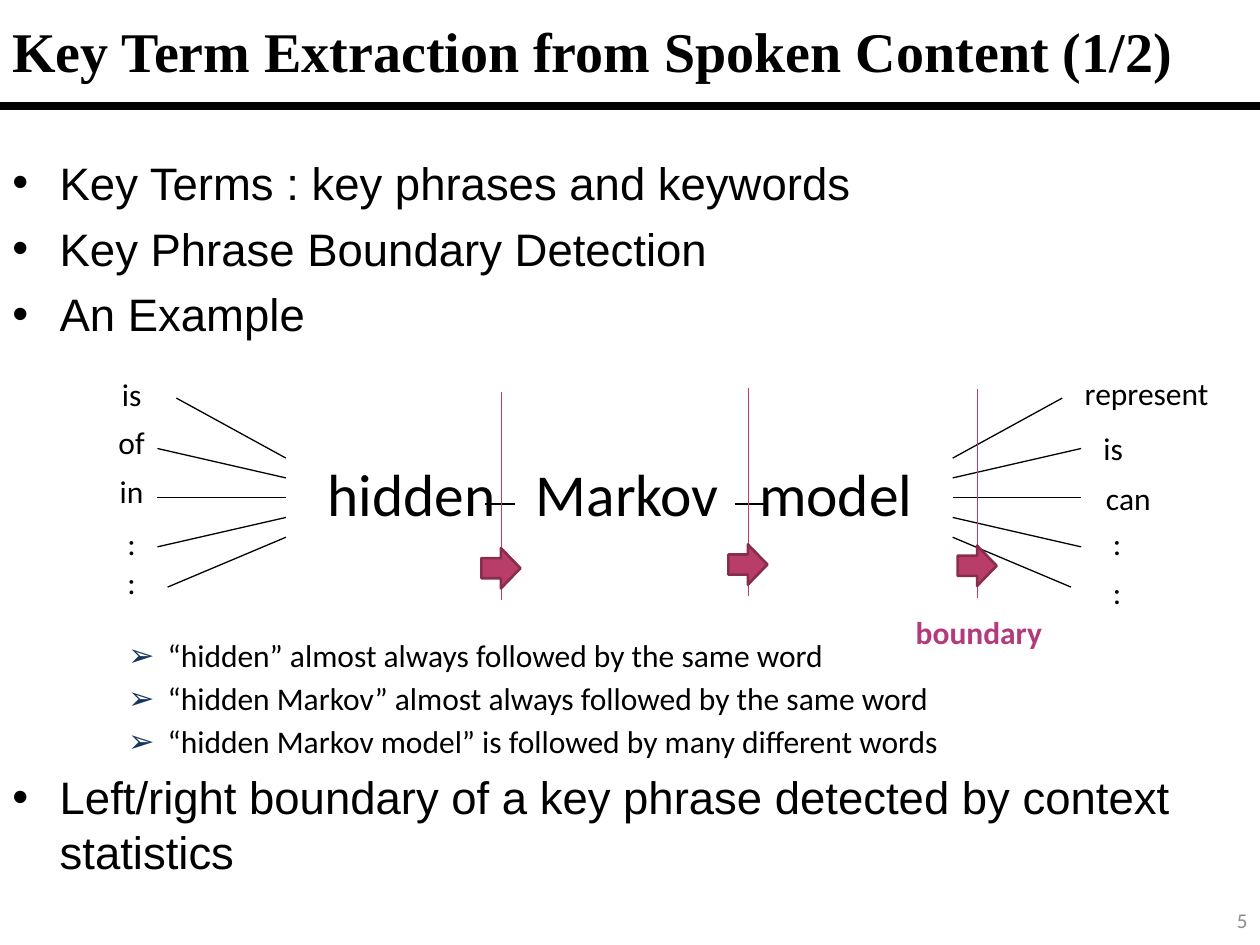
from lxml.etree import SubElement
from pptx import Presentation
from pptx.dml.color import RGBColor
from pptx.enum.shapes import MSO_CONNECTOR as Link, MSO_SHAPE as Preset
from pptx.enum.text import MSO_ANCHOR as Anchor, PP_ALIGN as Align
from pptx.oxml.ns import qn
from pptx.util import Pt

BLACK, PINK, PLUM = "000000", "B83D68", "882D4D"
NAVY, MAGENTA, GREY = "17375E", "B23B7E", "8C8C8C"


def color(value):
    """Turn a hex string into a colour."""
    return RGBColor.from_string(value)


class Painter:
    """Holds the text style and the current page, and draws each kind of element."""

    style = {"name": "Calibri", "size": Pt(18), "bold": False}

    def __init__(self, page):
        self.page = page

    def span(self, para, text, ink=BLACK, **changes):
        span = para.add_run()
        span.text = text
        for key, value in {**self.style, **changes}.items():
            setattr(span.font, key, value)
        span.font.color.rgb = color(ink)
        return span

    def frame(self, area, anchor=Anchor.TOP):
        box = self.page.shapes.add_textbox(*map(Pt, area))
        frame = box.text_frame
        frame.word_wrap = True
        frame.vertical_anchor = anchor
        return frame

    def label(self, text, area, align=Align.CENTER, anchor=Anchor.TOP, **font):
        para = self.frame(area, anchor).paragraphs[0]
        para.alignment = align
        self.span(para, text, **font)

    def spaced_words(self, words, area, gap, **font):
        para = self.frame(area).paragraphs[0]
        para.alignment = Align.CENTER
        for index, word in enumerate(words):
            if index:
                space = self.span(para, " ", **font)
                space.font._element.set("spc", str(gap * 100))
            self.span(para, word, **font)

    def bullets(self, items, area, mark, margin, hang, mark_ink=BLACK, **font):
        frame = self.frame(area)
        for index, (text, before) in enumerate(items):
            para = frame.add_paragraph() if index else frame.paragraphs[0]
            para.space_before = Pt(before)
            props = para._p.get_or_add_pPr()
            props.set("marL", str(Pt(margin)))
            props.set("indent", str(Pt(-hang)))
            tint = SubElement(props, qn("a:buClr"))
            SubElement(tint, qn("a:srgbClr"), val=mark_ink)
            SubElement(props, qn("a:buFont"), typeface="Arial")
            SubElement(props, qn("a:buChar"), char=mark)
            self.span(para, text, **font)

    def line(self, start, end, ink=BLACK, width=0.75):
        line = self.page.shapes.add_connector(Link.STRAIGHT, *map(Pt, (*start, *end)))
        line.line.color.rgb = color(ink)
        line.line.width = Pt(width)
        SubElement(line._element.spPr, qn("a:effectLst"))

    def arrow(self, area):
        arrow = self.page.shapes.add_shape(Preset.RIGHT_ARROW, *map(Pt, area))
        arrow.shadow.inherit = False
        arrow.fill.solid()
        arrow.fill.fore_color.rgb = color(PINK)
        arrow.line.color.rgb = color(PLUM)
        arrow.line.width = Pt(1.5)


def draw_fans(painter):
    """Draw the lines from the phrase to its left and right context words."""
    middle, mirror = 284.4, 707.8
    ends = [(100.8, -56.9), (90, -28.1), (90, 0), (90, 28.1), (95.8, 51.1)]
    for side in (lambda x: x, lambda x: mirror - x):
        for step, (x, rise) in enumerate(ends, -2):
            start = side(163.4), middle + 11.3 * step
            painter.line(start, (side(x), middle + rise))


def draw_context(painter):
    """Write the context words on both sides of the phrase."""
    for text, top in zip(("is", "of", "in", ":", ":"), (211, 238.3, 266.4, 295.9, 318.2)):
        painter.label(text, (55.4, top, 39.6, 28.8))
    right = [("represent", 607, 210.2, 96.5), ("is", 619.2, 241.9, 33.8),
             ("can", 619.2, 270, 51.1), (":", 618.5, 295.9, 39.6), (":", 618.5, 324, 39.6)]
    for text, left, top, width in right:
        painter.label(text, (left, top, width, 28.8))


def main():
    deck = Presentation()
    deck.slide_width, deck.slide_height = Pt(720), Pt(540)
    painter = Painter(deck.slides.add_slide(deck.slide_layouts[6]))

    painter.label("Key Term Extraction from Spoken Content (1/2)", (0, 0, 719.3, 56.9),
                  Align.LEFT, Anchor.MIDDLE, name="Times New Roman", size=Pt(32), bold=True)
    points = [("Key Terms : key phrases and keywords", 6.3),
              ("Key Phrase Boundary Detection", 6.3),
              ("An Example", 6.3),
              ("Left/right boundary of a key phrase detected by context statistics", 245)]
    painter.bullets(points, (0, 85, 719.3, 430.6), "•", 27, 27, name="Arial", size=Pt(26))
    findings = ["“hidden” almost always followed by the same word",
                "“hidden Markov” almost always followed by the same word",
                "“hidden Markov model” is followed by many different words"]
    painter.bullets([(text, 3) for text in findings], (0.7, 360, 719.3, 78.5),
                    "➢", 88, 22.5, mark_ink=NAVY)
    painter.label("boundary", (516.2, 347, 99.4, 28.8), Align.LEFT, ink=MAGENTA, bold=True)

    painter.spaced_words(("hidden", "Markov", "model"), (154.1, 257.8, 400.3, 48.2),
                         15.4, size=Pt(34))
    draw_fans(painter)
    draw_context(painter)
    for left in (277.2, 419.8):
        painter.line((left, 288), (left + 17, 288))
    for x, top in ((427.7, 221.8), (558.7, 222.5), (286.6, 223.9)):
        painter.line((x, top), (x, top + 119), PINK)
        painter.arrow((x - 11.5, top + 89.3, 22.3, 23))

    painter.line((0, 60.5), (720, 60.5), width=4.5)
    painter.label("5", (558, 511.2, 162, 28.8), Align.RIGHT, Anchor.MIDDLE,
                  ink=GREY, size=Pt(12))
    deck.save("out.pptx")


if __name__ == "__main__":
    main()
